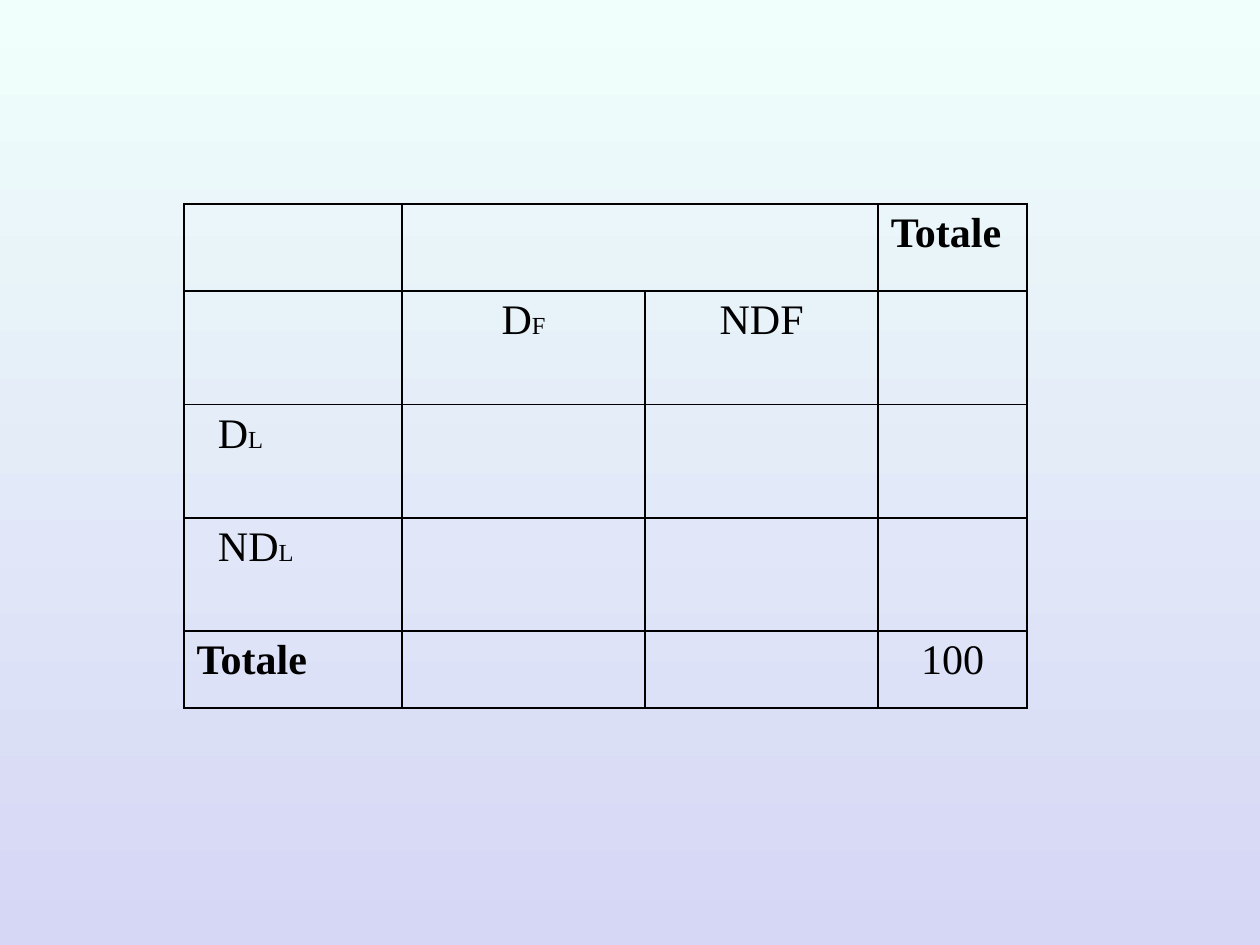
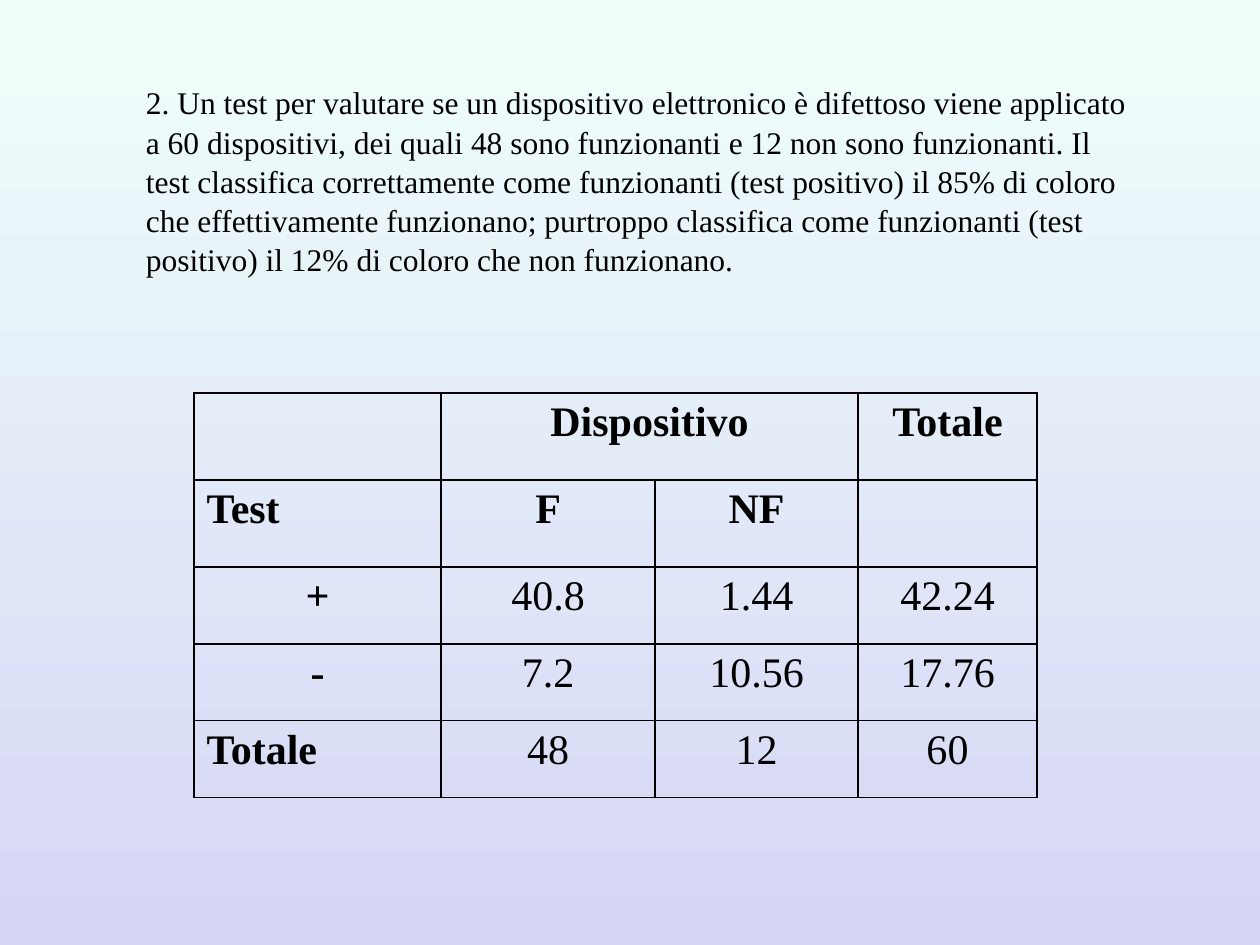
from lxml.etree import SubElement
from pptx import Presentation
from pptx.dml.color import RGBColor as Rgb
from pptx.enum.text import MSO_AUTO_SIZE as Fit, PP_ALIGN as Al
from pptx.oxml.ns import qn
from pptx.util import Inches as In, Pt

# Content: a cell is None or (style, text); "_" sets off the small letter
INTRO = ("2. Un test per valutare se un dispositivo elettronico è difettoso viene "
         "applicato a 60 dispositivi, dei quali 48 sono funzionanti e 12 non sono "
         "funzionanti. Il test classifica correttamente come funzionanti (test "
         "positivo) il 85% di coloro che effettivamente funzionano; purtroppo "
         "classifica come funzionanti (test positivo) il 12% di coloro che non "
         "funzionano.")

SHARES = {
    "at": (1.46, 1.62),
    "cols": [1.73, 1.93, 1.85, 1.18],
    "rows": [0.69, 0.9, 0.9, 0.9, 0.61],
    "cells": [
        [None, None, None, ("head", "Totale")],
        [None, ("num", "D_F"), ("num", "NDF"), None],
        [("label", "D_L"), None, None, None],
        [("label", "ND_L"), None, None, None],
        [("head", "Totale"), None, None, ("num", "100")],
    ],
}
COUNTS = {
    "at": (1.54, 3.12),
    "cols": [1.96, 1.7, 1.61, 1.42],
    "rows": [0.69, 0.69, 0.61, 0.61, 0.61],
    "cells": [
        [None, ("mid", "Dispositivo"), None, ("mid", "Totale")],
        [("head", "Test"), ("mid", "F"), ("mid", "NF"), None],
        [("mid", "+"), ("num", "40.8"), ("num", "1.44"), ("num", "42.24")],
        [("mid", "-"), ("num", "7.2"), ("num", "10.56"), ("num", "17.76")],
        [("head", "Totale"), ("num", "48"), ("num", "12"), ("num", "60")],
    ],
}

# Shared look; a style is (alignment, bold, left indent)
FONT = "Times New Roman"
HUES = {"ink": "000000", "top": "F0FFFB", "base": "D6D6F5"}
STYLES = {
    "head": (Al.JUSTIFY, True, 0),
    "mid": (Al.CENTER, True, 0),
    "num": (Al.CENTER, False, 0),
    "label": (Al.JUSTIFY, False, 0.17),
}


def hue(name):
    return Rgb.from_string(HUES[name])


def add_run(para, text, size, bold=False):
    run = para.add_run()
    run.text = text
    font = run.font
    font.name, font.size, font.bold = FONT, Pt(size), bold
    font.color.rgb = hue("ink")


def frame(cell):
    """Draw a thin line on each side of a cell, with no fill."""
    props = cell._tc.get_or_add_tcPr()
    for side in ("lnL", "lnR", "lnT", "lnB"):
        line = SubElement(props, qn("a:" + side), w=str(Pt(1)))
        fill = SubElement(line, qn("a:solidFill"))
        SubElement(fill, qn("a:srgbClr"), val=HUES["ink"])
    cell.fill.background()


def fill_cell(cell, style, text):
    align, bold, indent = STYLES[style]
    para = cell.text_frame.paragraphs[0]
    para.alignment = align
    cell.margin_left = In(0.1 + indent)
    for part, size in zip(text.split("_"), (24, 14)):
        add_run(para, part, size, bold)


def add_grid(slide, data):
    cols, rows = data["cols"], data["rows"]
    left, top = data["at"]
    table = slide.shapes.add_table(len(rows), len(cols), In(left), In(top),
                                   In(sum(cols)), In(sum(rows))).table
    table.first_row = table.horz_banding = False
    for col, wide in zip(table.columns, cols):
        col.width = In(wide)
    for row, high in zip(table.rows, rows):
        row.height = In(high)
    for r, line in enumerate(data["cells"]):
        for c, item in enumerate(line):
            cell = table.cell(r, c)
            frame(cell)
            if item:
                fill_cell(cell, *item)
    table.cell(0, 1).merge(table.cell(0, 2))


def add_intro(slide):
    box = slide.shapes.add_textbox(In(1.06), In(0.6), In(8.03), In(1.62))
    text = box.text_frame
    text.word_wrap = True
    text.auto_size = Fit.SHAPE_TO_FIT_TEXT
    para = text.paragraphs[0]
    para.line_spacing = 1.04
    add_run(para, INTRO, 18)


def main():
    prs = Presentation()
    prs.slide_width, prs.slide_height = In(10), In(7.5)

    # Gradient behind every slide, from top to bottom
    back = prs.slide_master.background.fill
    back.gradient()
    back.gradient_angle = 270
    for stop, name in zip(back.gradient_stops, ("top", "base")):
        stop.color.rgb = hue(name)

    # One table a slide
    blank = prs.slide_layouts[6]
    add_grid(prs.slides.add_slide(blank), SHARES)
    test = prs.slides.add_slide(blank)
    add_grid(test, COUNTS)
    add_intro(test)
    prs.save("out.pptx")


if __name__ == "__main__":
    main()
